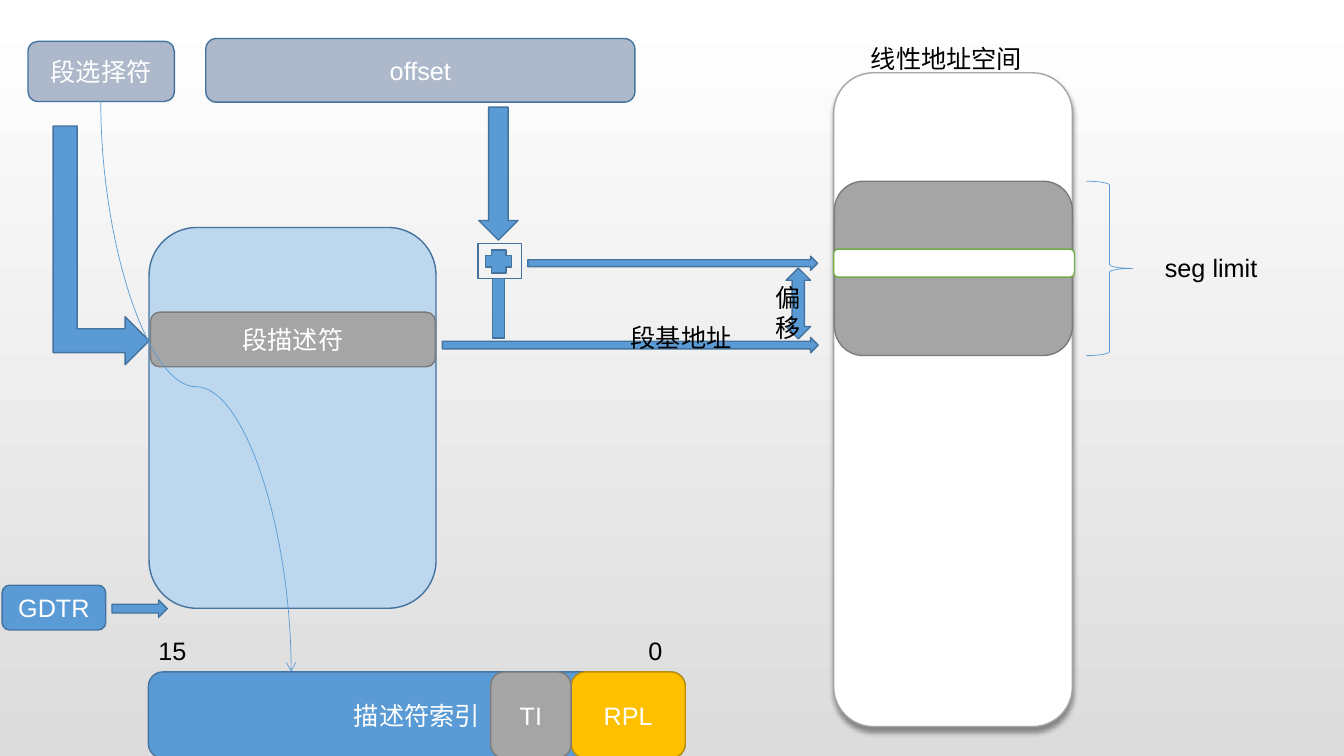
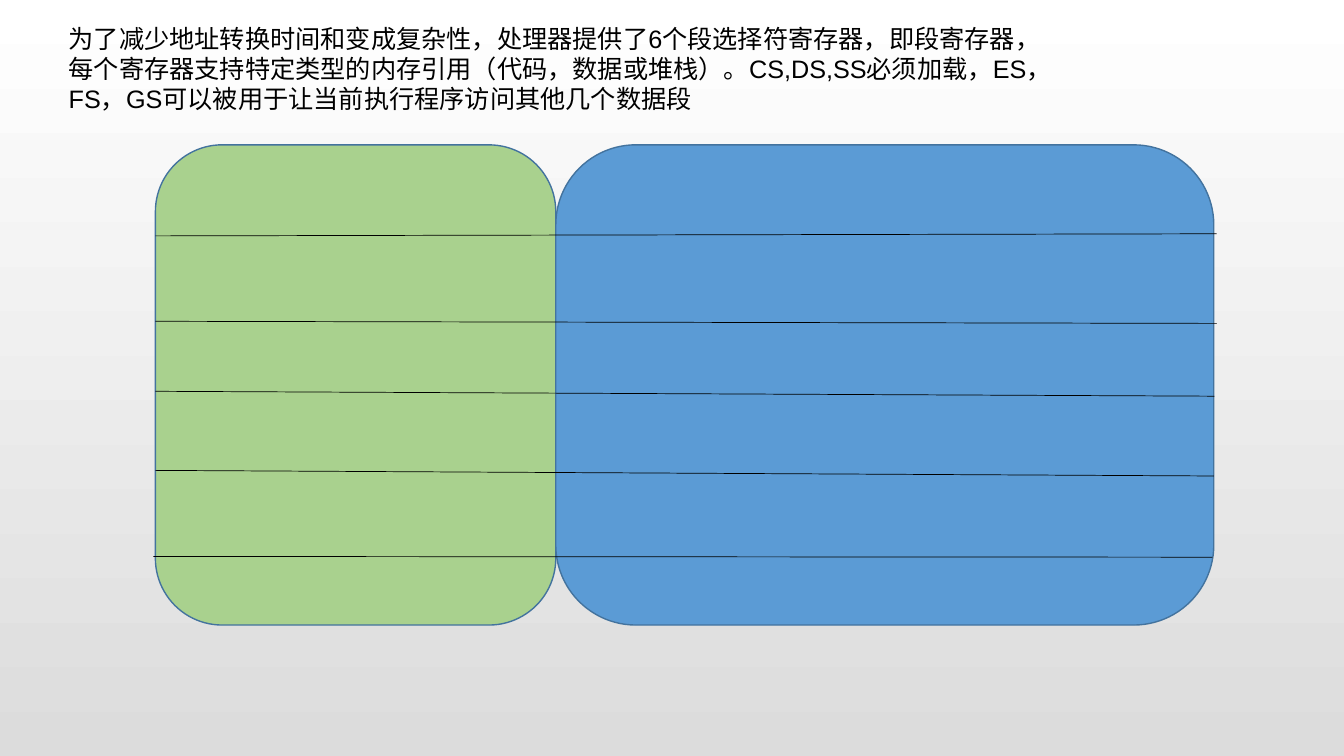
import pptx
import pptx.dml.color
import pptx.enum.shapes
import pptx.enum.text
import pptx.oxml
import pptx.oxml.ns
import pptx.util

Pt = pptx.util.Pt
RGB = pptx.dml.color.RGBColor
Shape = pptx.enum.shapes.MSO_SHAPE
Connector = pptx.enum.shapes.MSO_CONNECTOR
Align = pptx.enum.text.PP_ALIGN
Anchor = pptx.enum.text.MSO_ANCHOR

WHITE = RGB(0xFF, 0xFF, 0xFF)
BLACK = RGB(0x00, 0x00, 0x00)
PALE_GREY = RGB(0xDC, 0xDC, 0xDC)
BLUE = RGB(0x5B, 0x9B, 0xD5)
BLUE_EDGE = RGB(0x43, 0x73, 0x9E)
LIGHT_BLUE = RGB(0xBD, 0xD7, 0xEE)
SLATE = RGB(0xAD, 0xB9, 0xCA)
GREY = RGB(0xA5, 0xA5, 0xA5)
GREY_EDGE = RGB(0x7A, 0x7A, 0x7A)
GOLD = RGB(0xFF, 0xC0, 0x00)
GOLD_EDGE = RGB(0xBD, 0x8E, 0x00)
GREEN = RGB(0xA9, 0xD1, 0x8E)
GREEN_EDGE = RGB(0x70, 0xAD, 0x47)


class Deck:
    """Holds the shared style and the current slide."""

    FONT = "Arial"
    SIZE = Pt(18)

    def __init__(self):
        """Start a wide presentation with a gradient background on its master."""
        self.prs = pptx.Presentation()
        self.prs.slide_width, self.prs.slide_height = Pt(960), Pt(540)
        fill = self.prs.slide_master.background.fill
        fill.gradient()
        fill.gradient_angle = 270
        for stop, colour, position in zip(fill.gradient_stops, (WHITE, PALE_GREY), (0, 1)):
            stop.color.rgb = colour
            stop.position = position

    def new_slide(self):
        """Add a blank slide and make it current."""
        self.slide = self.prs.slides.add_slide(self.prs.slide_layouts[6])

    def set_text(self, frame, text, colour, align):
        """Put one paragraph in a text frame."""
        frame.word_wrap = True
        paragraph = frame.paragraphs[0]
        paragraph.text = text
        paragraph.alignment = align
        paragraph.font.name = self.FONT
        paragraph.font.size = self.SIZE
        paragraph.font.color.rgb = colour

    def shape(self, kind, left, top, width, height, fill=BLUE, edge=BLUE_EDGE,
              text="", weight=1):
        """Add a preset shape, with centred white text if given."""
        item = self.slide.shapes.add_shape(kind, Pt(left), Pt(top), Pt(width), Pt(height))
        item.shadow.inherit = False
        if fill is None:
            item.fill.background()
        else:
            item.fill.solid()
            item.fill.fore_color.rgb = fill
        item.line.color.rgb = edge
        item.line.width = Pt(weight)
        if text:
            item.text_frame.vertical_anchor = Anchor.MIDDLE
            self.set_text(item.text_frame, text, WHITE, Align.CENTER)
        return item

    def box(self, left, top, width, height, **style):
        """Add a rounded rectangle."""
        return self.shape(Shape.ROUNDED_RECTANGLE, left, top, width, height, **style)

    def label(self, text, left, top, width, height=29):
        """Add a black text box."""
        item = self.slide.shapes.add_textbox(Pt(left), Pt(top), Pt(width), Pt(height))
        self.set_text(item.text_frame, text, BLACK, Align.LEFT)
        return item

    def line(self, x1, y1, x2, y2, colour=BLACK, kind=Connector.STRAIGHT):
        """Add a thin connector without a shadow."""
        item = self.slide.shapes.add_connector(kind, Pt(x1), Pt(y1), Pt(x2), Pt(y2))
        item.line.color.rgb = colour
        item.line.width = Pt(0.5)
        item._element.spPr.append(pptx.oxml.parse_xml(
            "<a:effectLst %s/>" % pptx.oxml.ns.nsdecls("a")))
        return item

    def falling_curve(self, x1, y1, x2, y2):
        """Add an S-curve that leaves and arrives vertically, with an arrowhead."""
        x, y = (x1 + x2) / 2, (y1 + y2) / 2
        run, drop = (y2 - y1) / 2, (x2 - x1) / 2
        item = self.line(x - run, y + drop, x + run, y - drop, BLUE, Connector.CURVE)
        properties = item._element.spPr
        properties.find(pptx.oxml.ns.qn("a:xfrm")).set("rot", "5400000")
        properties.find(pptx.oxml.ns.qn("a:ln")).append(pptx.oxml.parse_xml(
            '<a:tailEnd %s type="arrow"/>' % pptx.oxml.ns.nsdecls("a")))

    def drop_shadow(self, item):
        """Give a shape a soft shadow below it."""
        effects = item._element.spPr.find(pptx.oxml.ns.qn("a:effectLst"))
        effects.append(pptx.oxml.parse_xml(
            '<a:outerShdw %s blurRad="%d" dist="%d" dir="5400000" rotWithShape="0">'
            '<a:srgbClr val="000000"><a:alpha val="40000"/></a:srgbClr></a:outerShdw>'
            % (pptx.oxml.ns.nsdecls("a"), Pt(4), Pt(3))))


def address_translation(deck):
    """Draw how a selector and an offset give a linear address."""
    deck.new_slide()
    deck.box(20, 29.5, 104.5, 43, fill=SLATE, text="段选择符")
    deck.box(147, 27.5, 306.5, 45.5, fill=SLATE, text="offset")

    deck.box(106.5, 162.5, 205, 272, fill=LIGHT_BLUE)
    selector_arrow = deck.shape(Shape.BENT_UP_ARROW, -13, 141, 170.5, 68.5)
    selector_arrow.rotation = 90
    deck.box(107.5, 223, 203.5, 39, fill=GREY, edge=GREY_EDGE, text="段描述符")
    deck.box(1.5, 418, 74, 32, text="GDTR")
    deck.shape(Shape.RIGHT_ARROW, 80, 428.5, 39.5, 12.5)
    deck.shape(Shape.RIGHT_ARROW, 316, 241, 268.5, 11)

    linear_space = deck.box(595.5, 52, 170.5, 467, fill=WHITE, edge=GREY)
    deck.drop_shadow(linear_space)

    deck.shape(Shape.DOWN_ARROW, 342, 76.5, 28, 95)
    deck.shape(Shape.CROSS, 347, 178.5, 18.5, 16.5)
    deck.shape(Shape.RECTANGLE, 341.5, 174, 31, 25, fill=None)
    deck.shape(Shape.RECTANGLE, 352, 199, 8.5, 42.5)
    deck.shape(Shape.RIGHT_ARROW, 377, 183, 207, 10)

    segment_top, segment_height = 129.5, 124.5
    deck.box(596, segment_top, 170, segment_height, fill=GREY, edge=GREY_EDGE)
    deck.box(595.5, 178, 172, 20, fill=WHITE, edge=GREEN_EDGE)
    deck.shape(Shape.RIGHT_BRACE, 776, segment_top, 33, segment_height,
               fill=None, edge=BLUE, weight=0.5)
    deck.label("seg limit", 825, 177, 95)
    deck.label("线性地址空间", 615, 27.5, 151)
    deck.label("段基地址", 443.5, 227, 105)
    deck.shape(Shape.UP_DOWN_ARROW, 561.5, 191.5, 17.5, 50.5)
    displacement = deck.label("偏移", 547, 198, 14.5, 51)
    displacement.text_frame.margin_right = 0

    fields_top, fields_height = 480, 61.5
    deck.falling_curve(72, 72.5, 208, fields_top)
    for left, width, fill, edge, text in (
            (106, 383.5, BLUE, BLUE_EDGE, "描述符索引"),
            (408, 81.5, GOLD, GOLD_EDGE, "RPL"),
            (350.5, 57.5, GREY, GREY_EDGE, "TI")):
        deck.box(left, fields_top, width, fields_height, fill=fill, edge=edge, text=text)
    deck.label("15", 106, 450, 93)
    deck.label("0", 456, 450, 106)


def segment_registers(deck):
    """Draw the six segment registers as two ruled blocks."""
    deck.new_slide()
    blocks_top, blocks_height = 103.5, 343
    deck.box(111, blocks_top, 286, blocks_height, fill=GREEN)
    deck.box(397, blocks_top, 470, blocks_height)
    for rule in ((111, 168.5, 869, 167), (111, 229.5, 869, 231),
                 (111, 279.5, 867.5, 283), (111, 336, 867, 340),
                 (109.5, 397.5, 866, 398)):
        deck.line(*rule)
    deck.label("为了减少地址转换时间和变成复杂性，处理器提供了6个段选择符寄存器，即段寄存器，"
               "每个寄存器支持特定类型的内存引用（代码，数据或堆栈）。CS,DS,SS必须加载，"
               "ES，FS，GS可以被用于让当前执行程序访问其他几个数据段", 42, 13, 724, 73)


def main():
    """Build both slides and save them."""
    deck = Deck()
    address_translation(deck)
    segment_registers(deck)
    deck.prs.save("out.pptx")


main()
